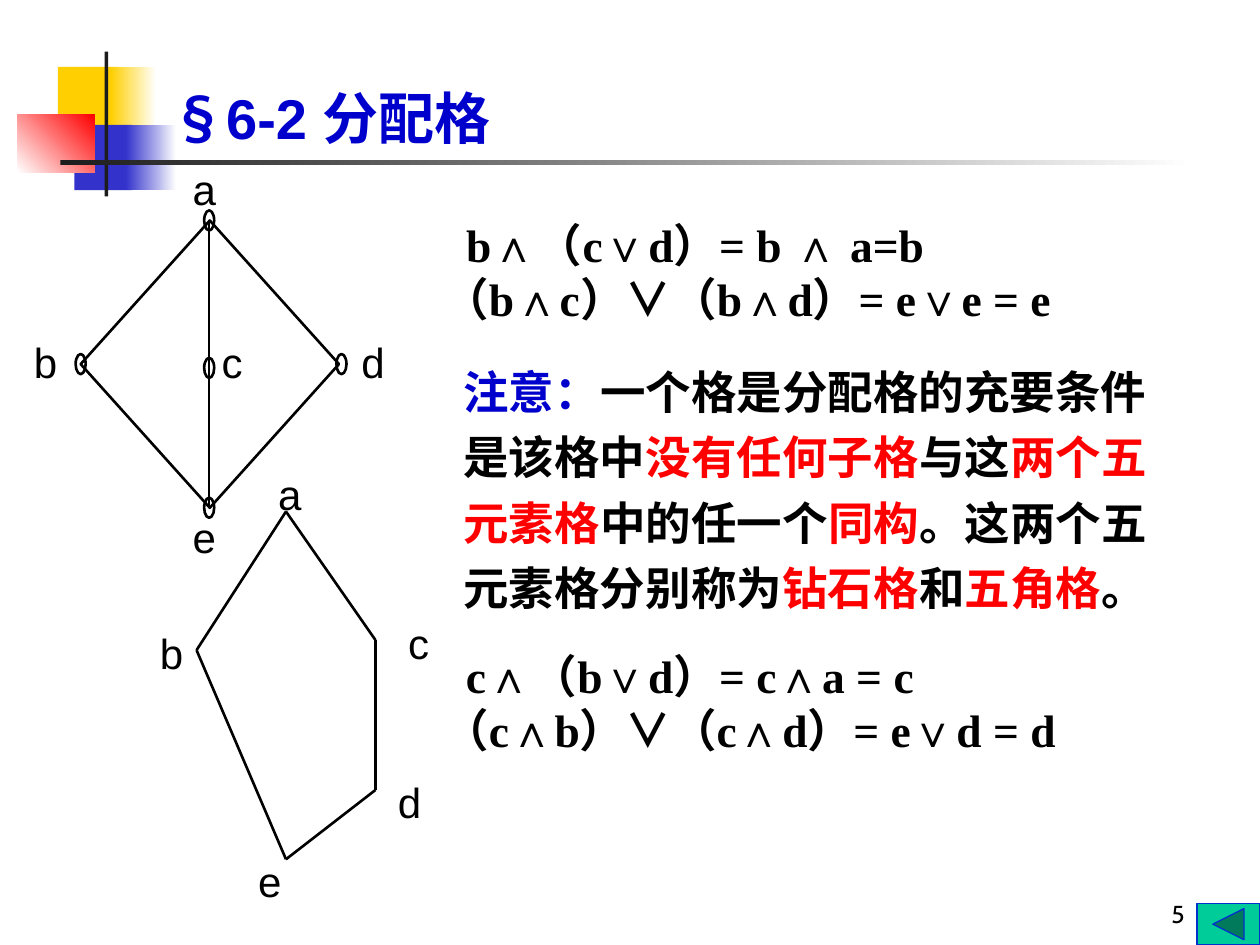
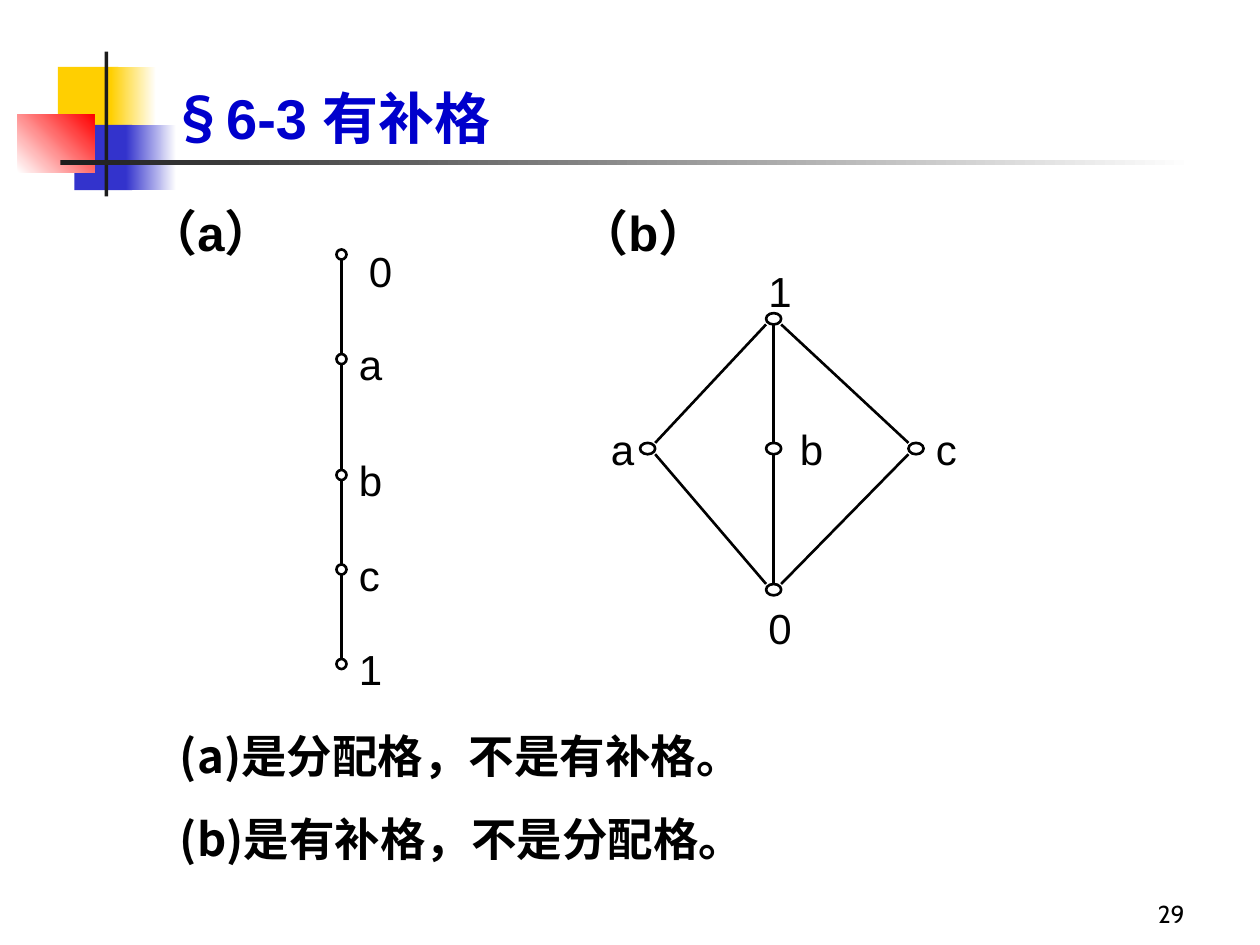
from lxml.etree import SubElement
from pptx import Presentation
from pptx.dml.color import RGBColor
from pptx.enum.shapes import MSO_CONNECTOR as Link, MSO_SHAPE as Kind
from pptx.enum.text import MSO_ANCHOR as Anchor, MSO_AUTO_SIZE as Fit, PP_ALIGN as Align
from pptx.oxml.ns import qn
from pptx.util import Inches, Pt

W, H = 10, 7.5
HUES = {"black": "000000", "white": "FFFFFF", "dark": "1C1C1C", "yellow": "FFCF01",
        "blue": "3333CC", "navy": "0000CC", "red": "FF0000", "green": "00CC99",
        "edge": "0033CC"}
SANS, SERIF, HAN, PAGE = "Arial", "Times New Roman", "Noto Sans CJK SC", "Cabin"

# left, top, width, height, colours, angle
BANDS = [
    (0.46, 0.53, 0.48, 0.52, ["yellow"], 0),
    (0.88, 0.53, 0.36, 0.52, ["yellow", "white"], 0),
    (0.59, 0.99, 0.46, 0.52, ["blue"], 0),
    (1.0, 0.99, 0.4, 0.52, ["blue", "white"], 0),
    (0.14, 0.91, 0.61, 0.46, ["white", "red"], 45),
    (0.83, 0.41, 0.03, 1.15, ["dark"], 0),
    (0.48, 1.27, 9, 0.04, ["dark", "white"], 0),
]

# Lattices: node centres, left and top of each label, edges from top to bottom
DIAMOND = {
    "dot": (0.08, 0.16), "kind": Kind.FLOWCHART_CONNECTOR, "gap": False,
    "nodes": {"a": (1.66, 1.75), "b": (0.64, 2.89), "c": (1.66, 2.92),
              "d": (2.71, 2.89), "e": (1.66, 4.03)},
    "labels": {"a": (1.43, 1.25), "b": (0.17, 2.62), "c": (1.66, 2.62),
               "d": (2.77, 2.62), "e": (1.43, 4.01)},
    "edges": ["ae"], "frame": (0.64, 1.75, 2.05, 2.28),
}
PENTAGON = {
    "dot": None, "gap": False,
    "nodes": {"a": (2.27, 4.06), "b": (1.56, 5.16), "c": (2.98, 5.08),
              "d": (2.98, 6.27), "e": (2.27, 6.82)},
    "labels": {"a": (2.11, 3.67), "b": (1.17, 4.93), "c": (3.14, 4.85),
               "d": (3.06, 6.11), "e": (1.95, 6.74)},
    "edges": ["ab", "ac", "cd", "de", "be"],
}
STAR = {
    "dot": (0.12, 0.09), "kind": Kind.OVAL, "gap": True,
    "nodes": {"1": (6.14, 2.53), "a": (5.14, 3.56), "b": (6.14, 3.56),
              "c": (7.27, 3.56), "0": (6.14, 4.68)},
    "labels": {"1": (6, 2.06), "a": (4.75, 3.31), "b": (6.25, 3.31),
               "c": (7.33, 3.31), "0": (6, 4.73)},
    "edges": ["1a", "1b", "1c", "a0", "b0", "c0"],
}
RUNGS = {"0": 2.02, "a": 2.85, "b": 3.77, "c": 4.52, "1": 5.27}
CHAIN = {
    "dot": (0.08, 0.08), "kind": Kind.OVAL, "gap": True,
    "nodes": {name: (2.71, y) for name, y in RUNGS.items()},
    "labels": {name: (2.83 if name == "0" else 2.75, y - (0.12 if name == "0" else 0.21))
               for name, y in RUNGS.items()},
    "edges": ["0a", "ab", "bc", "c1"],
}

NOTE = [("注意：", "navy"), ("一个格是分配格的充要条件是该格中", "black"),
        ("没有任何子格", "red"), ("与这", "black"), ("两个五元素格", "red"),
        ("中的任一个", "black"), ("同构", "red"), ("。这两个五元素格分别称为", "black"),
        ("钻石格", "red"), ("和", "black"), ("五角格", "red"), ("。", "black")]

# Text: box, paragraphs, style
SLIDES = [
    {"title": ("6-2 ", "分配格"), "page": "5", "back": True,
     "lattices": [DIAMOND, PENTAGON],
     "texts": [
         ((3.42, 1.67, 5.58, 0.97), ["b∧（c∨d）= b ∧ a=b", "（b∧c）∨（b∧d）= e∨e = e"],
          {"font": SERIF, "indent": 0.18}),
         ((3.42, 5.09, 6, 0.97), ["c∧（b∨d）= c∧a = c", "（c∧b）∨（c∧d）= e∨d = d"],
          {"font": SERIF, "indent": 0.18}),
         ((3.58, 2.75, 5.92, 2.18), [NOTE], {"font": SERIF, "line": 1.2}),
     ]},
    {"title": ("6-3 ", "有补格"), "page": "29", "back": False,
     "lattices": [STAR, CHAIN],
     "texts": [
         ((1.08, 1.56, 1.42, 0.57), ["（a）"], {"size": 28}),
         ((4.5, 1.56, 1.42, 0.57), ["（b）"], {"size": 28}),
         ((1.33, 5.73, 5.33, 1.19), ["(a)是分配格，不是有补格。", "(b)是有补格，不是分配格。"],
          {"font": HAN, "before": 16.2}),
     ]},
]


def rgb(hue):
    return RGBColor.from_string(HUES[hue])


def inch(*sizes):
    return [Inches(size) for size in sizes]


def add_run(para, text, font, size, hue="black", bold=True):
    run = para.add_run()
    run.text = text
    face = run.font
    face.name, face.size, face.bold = font, Pt(size), bold
    face.color.rgb = rgb(hue)
    SubElement(run.font._element, qn("a:ea")).set("typeface", HAN)


def add_text(pen, box, paras, font=SANS, size=26, bold=True, line=None,
             before=0, indent=0, align=Align.LEFT, anchor=Anchor.TOP):
    """Write paragraphs, each a string or a list of (text, hue); indent the first."""
    frame = pen.add_textbox(*inch(*box)).text_frame
    frame.word_wrap, frame.vertical_anchor = True, anchor
    for i, parts in enumerate(paras):
        para = frame.add_paragraph() if i else frame.paragraphs[0]
        para.alignment = align
        if line:
            para.line_spacing = line
        if i and before:
            para.space_before = Pt(before)
        if indent and not i:
            para._p.get_or_add_pPr().set("marL", str(Inches(indent)))
        for text, hue in [(parts, "black")] if isinstance(parts, str) else parts:
            add_run(para, text, font, size, hue, bold)


def add_shape(pen, kind, box, fill=None, edge=None, weight=1.5):
    shape = pen.add_shape(kind, *inch(*box))
    shape.shadow.inherit = False
    if fill:
        shape.fill.solid()
        shape.fill.fore_color.rgb = rgb(fill)
    else:
        shape.fill.background()
    if edge:
        shape.line.color.rgb = rgb(edge)
        shape.line.width = Pt(weight)
    else:
        shape.line.fill.background()
    return shape


def add_line(pen, start, end):
    line = pen.add_connector(Link.STRAIGHT, *inch(*start, *end))
    line.line.color.rgb = rgb("black")
    line.line.width = Pt(1.5)
    SubElement(line.element.spPr, qn("a:effectLst"))


def sign(value):
    return (value > 0) - (value < 0)


def add_lattice(slide, data):
    pen = slide.shapes.add_group_shape().shapes
    nodes = data["nodes"]
    wide, high = data["dot"] or (0, 0)
    if data["dot"]:
        for x, y in nodes.values():
            add_shape(pen, data["kind"], (x - wide / 2, y - high / 2, wide, high),
                      edge="black")
    if "frame" in data:
        add_shape(pen, Kind.DIAMOND, data["frame"], edge="black")
    for top, low in data["edges"]:
        (x1, y1), (x2, y2) = nodes[top], nodes[low]
        dx = sign(x2 - x1) * wide / 2 * data["gap"]
        dy = sign(y2 - y1) * high / 2 * data["gap"]
        add_line(pen, (x1 + dx, y1 + dy), (x2 - dx, y2 - dy))
    for name, spot in data["labels"].items():
        add_text(pen, (*spot, 0.55, 0.5), [name], size=24, bold=False)


def add_bands(slide, layout):
    """Draw the bands, then hand them to the layout so that all slides share them."""
    for i, (*box, hues, angle) in enumerate(BANDS):
        band = add_shape(slide.shapes, Kind.RECTANGLE, box, hues[0])
        if len(hues) > 1:
            band.fill.gradient()
            band.fill.gradient_angle = angle
            for stop, hue in zip(band.fill.gradient_stops, hues):
                stop.color.rgb = rgb(hue)
        band.element.nvSpPr.cNvPr.set("id", str(20 + i))
        layout.shapes.element.append(band.element)


def set_title(slide, number, name):
    title = slide.shapes.title
    title.left, title.top, title.width, title.height = inch(1.25, 0, 8.52, 1.25)
    frame = title.text_frame
    frame.auto_size, frame.vertical_anchor = Fit.NONE, Anchor.BOTTOM
    para = frame.paragraphs[0]
    para.alignment = Align.LEFT
    for text, font in (("§", HAN), (number, SANS), (name, HAN)):
        add_run(para, text, font, 32, "navy")


def main():
    deck = Presentation()
    deck.slide_width, deck.slide_height = inch(W, H)
    layout = deck.slide_layouts[5]
    for i, data in enumerate(SLIDES):
        slide = deck.slides.add_slide(layout)
        if not i:
            add_bands(slide, layout)
        set_title(slide, *data["title"])
        add_text(slide.shapes, (7.42, 6.92, 2.08, 0.5), [data["page"]], PAGE, 14,
                 False, align=Align.RIGHT, anchor=Anchor.BOTTOM)
        for lattice in data["lattices"]:
            add_lattice(slide, lattice)
        for box, paras, style in data["texts"]:
            add_text(slide.shapes, box, paras, **style)
        if data["back"]:
            add_shape(slide.shapes, Kind.ACTION_BUTTON_BACK_OR_PREVIOUS,
                      (W - 0.5, H - 0.33, 0.5, 0.33), "green", "edge", 0.75)
    deck.save("out.pptx")


if __name__ == "__main__":
    main()
